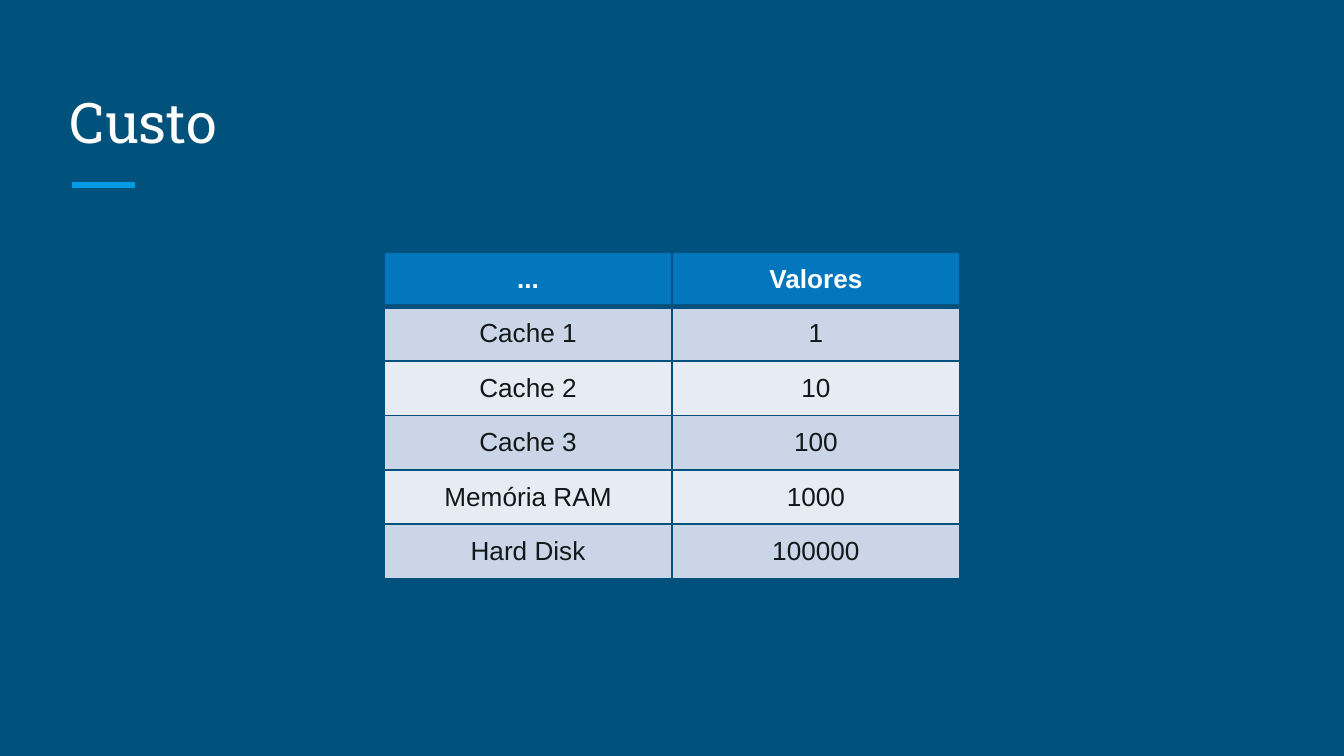
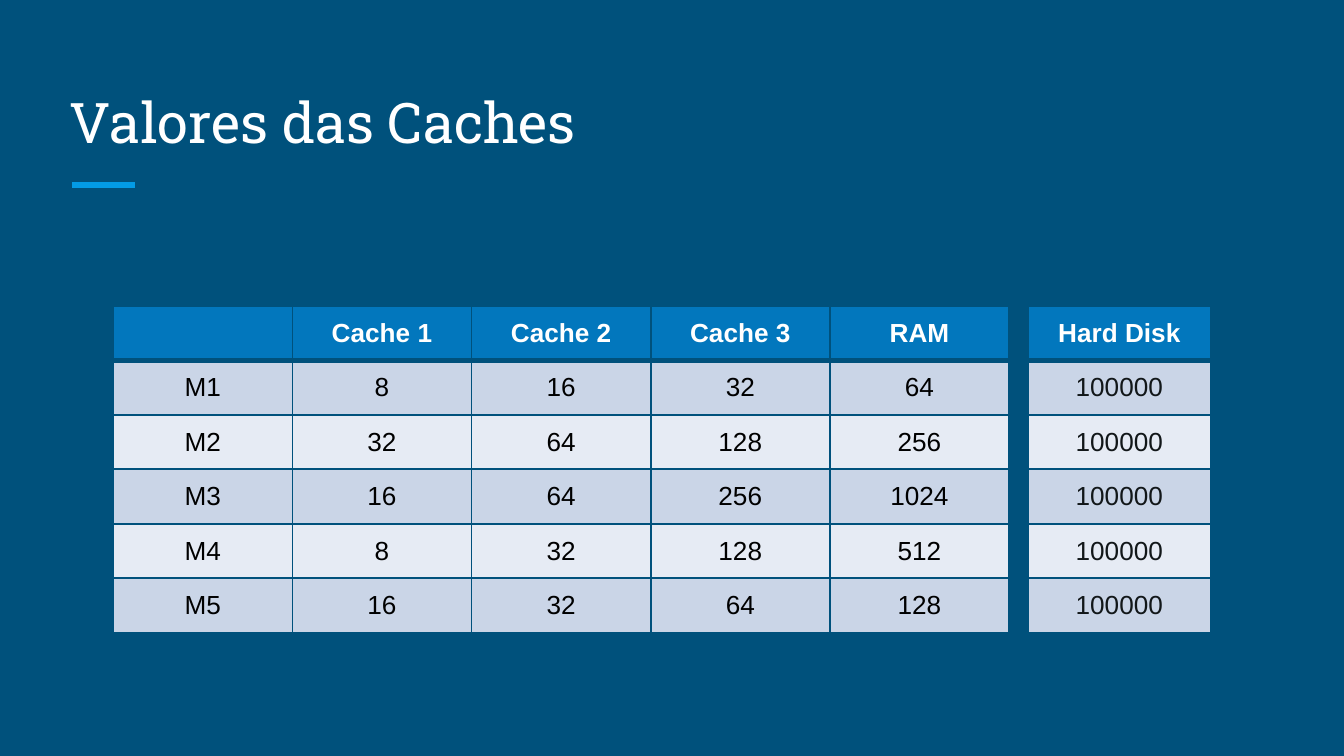
from lxml.etree import SubElement
from pptx import Presentation
from pptx.dml.color import RGBColor
from pptx.enum.shapes import MSO_CONNECTOR
from pptx.enum.text import MSO_ANCHOR, PP_ALIGN
from pptx.oxml.ns import qn
from pptx.util import Cm, Pt

COLORS = {
    "background": "00517C",
    "accent": "039BE5",
    "header": "0277BD",
    "odd_row": "CAD5E7",
    "even_row": "E6EBF4",
    "white": "FFFFFF",
    "ink": "121719",
    "black": "000000",
}
TITLE_BOX = (1.07, 1.27, 23.24, 1.91)
ROW_HEIGHT = 1.03
GRID_WIDTH = 1
HEADER_RULE_WIDTH = 3

COSTS = [
    ["...", "Valores"],
    ["Cache 1", "1"],
    ["Cache 2", "10"],
    ["Cache 3", "100"],
    ["Memória RAM", "1000"],
    ["Hard Disk", "100000"],
]
CACHE_SIZES = [
    ["", "Cache 1", "Cache 2", "Cache 3", "RAM"],
    ["M1", "8", "16", "32", "64"],
    ["M2", "32", "64", "128", "256"],
    ["M3", "16", "64", "256", "1024"],
    ["M4", "8", "32", "128", "512"],
    ["M5", "16", "32", "64", "128"],
]
DISK_SIZES = [["Hard Disk"]] + [["100000"]] * 5


def rgb(name):
    return RGBColor.from_string(COLORS[name])


def write(frame, text, *, size=14, font="Arial", color="ink", bold=False,
          align=PP_ALIGN.CENTER):
    paragraph = frame.paragraphs[0]
    paragraph.alignment = align
    paragraph.font.size = Pt(size)
    if not text:
        return
    run = paragraph.add_run()
    run.text = text
    run.font.size = Pt(size)
    run.font.name = font
    run.font.bold = bold
    run.font.color.rgb = rgb(color)


def add_borders(cell, top, bottom):
    properties = cell._tc.get_or_add_tcPr()
    widths = {"lnL": GRID_WIDTH, "lnR": GRID_WIDTH, "lnT": top, "lnB": bottom}
    for side, width in widths.items():
        border = SubElement(properties, qn(f"a:{side}"), w=str(Pt(width)))
        fill = SubElement(border, qn("a:solidFill"))
        SubElement(fill, qn("a:srgbClr"), val=COLORS["background"])


def add_title(slide, text, box):
    left, top, width, height = box
    title = slide.shapes.add_textbox(Cm(left), Cm(top), Cm(width), Cm(height))
    frame = title.text_frame
    frame.word_wrap = True
    frame.vertical_anchor = MSO_ANCHOR.BOTTOM
    frame.margin_left = frame.margin_right = Cm(0.25)
    frame.margin_top = frame.margin_bottom = Cm(0.25)
    write(frame, text, size=30, font="Roboto Slab", color="white",
          align=PP_ALIGN.LEFT)

    rule_left = Cm(left + 0.3)
    rule_top = Cm(top + height + 0.32)
    rule = slide.shapes.add_connector(
        MSO_CONNECTOR.STRAIGHT, rule_left, rule_top,
        rule_left + Cm(1.18), rule_top)
    rule.line.color.rgb = rgb("accent")
    rule.line.width = Pt(3)
    SubElement(rule._element.spPr, qn("a:effectLst"))


def add_value_table(slide, rows, box, body_color="ink"):
    left, top, width = box
    table = slide.shapes.add_table(
        len(rows), len(rows[0]), Cm(left), Cm(top), Cm(width),
        Cm(ROW_HEIGHT * len(rows))).table
    table.horz_banding = False
    for row_index, values in enumerate(rows):
        is_header = row_index == 0
        table.rows[row_index].height = Cm(ROW_HEIGHT)
        if is_header:
            fill = "header"
        else:
            fill = "odd_row" if row_index % 2 else "even_row"
        for column_index, value in enumerate(values):
            cell = table.cell(row_index, column_index)
            add_borders(
                cell,
                top=HEADER_RULE_WIDTH if row_index == 1 else GRID_WIDTH,
                bottom=HEADER_RULE_WIDTH if is_header else GRID_WIDTH)
            cell.fill.solid()
            cell.fill.fore_color.rgb = rgb(fill)
            cell.vertical_anchor = MSO_ANCHOR.MIDDLE
            write(cell.text_frame, value, bold=is_header,
                  color="white" if is_header else body_color)


def add_titled_slide(deck, title):
    slide = deck.slides.add_slide(deck.slide_layouts[6])
    slide.background.fill.solid()
    slide.background.fill.fore_color.rgb = rgb("background")
    add_title(slide, title, TITLE_BOX)
    return slide


def build_cost_slide(deck):
    slide = add_titled_slide(deck, "Custo")
    add_value_table(slide, COSTS, (7.26, 4.76, 10.88))


def build_cache_slide(deck):
    slide = add_titled_slide(deck, "Valores das Caches")
    left, top, width, gap = 2.14, 5.78, 16.93, 0.36
    add_value_table(slide, CACHE_SIZES, (left, top, width), body_color="black")
    add_value_table(slide, DISK_SIZES, (left + width + gap, top, 3.45))


def main():
    deck = Presentation()
    deck.slide_width = Cm(25.4)
    deck.slide_height = Cm(14.29)
    build_cost_slide(deck)
    build_cache_slide(deck)
    deck.save("out.pptx")


if __name__ == "__main__":
    main()
